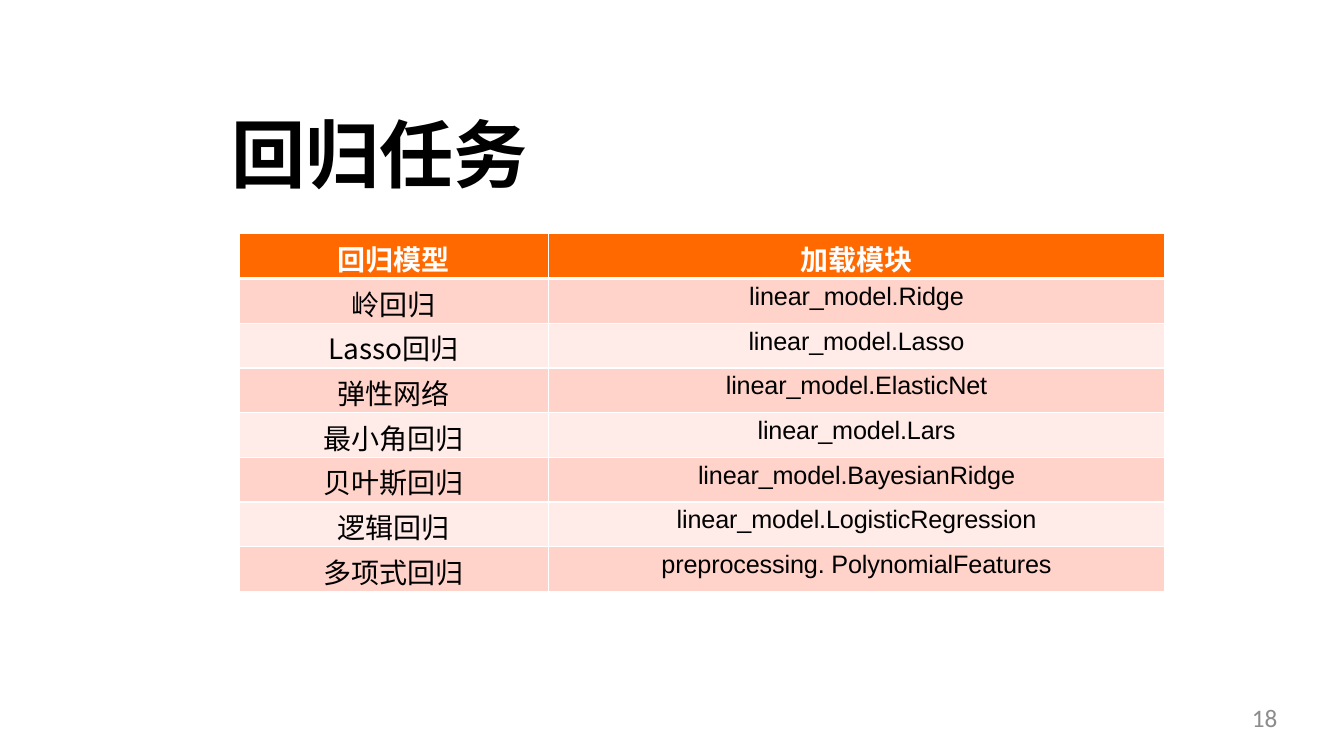
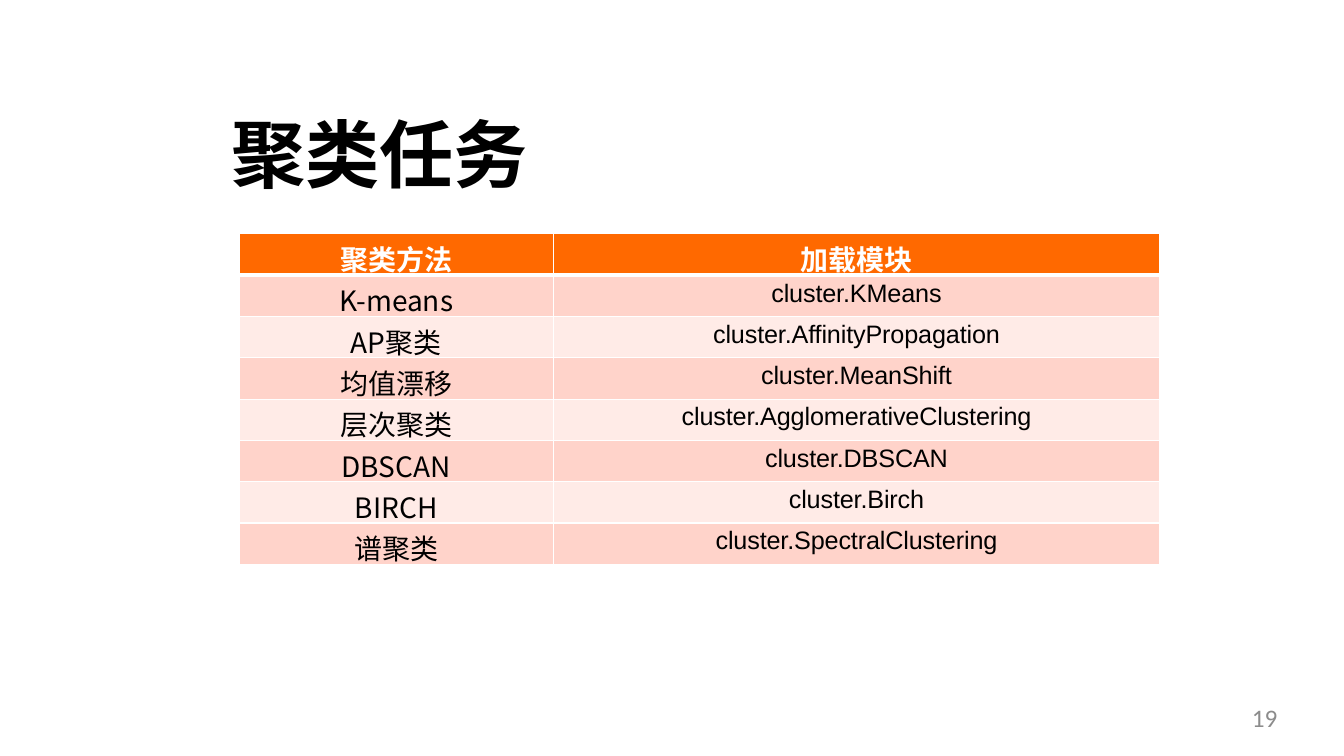
from lxml import etree
from pptx import Presentation
from pptx import util as u
from pptx.dml.color import RGBColor
from pptx.enum import text
from pptx.oxml import ns

COLORS = {
    "white": "FFFFFF",
    "black": "000000",
    "gray": "8C8C8C",
    "orange": "FF6900",
    "band_dark": "FFD3CA",
    "band_light": "FFEBE7",
}
CJK_FONT = "Noto Sans CJK SC"

REGRESSION = [
    ("回归模型", "加载模块"),
    ("岭回归", "linear_model.Ridge"),
    ("Lasso回归", "linear_model.Lasso"),
    ("弹性网络", "linear_model.ElasticNet"),
    ("最小角回归", "linear_model.Lars"),
    ("贝叶斯回归", "linear_model.BayesianRidge"),
    ("逻辑回归", "linear_model.LogisticRegression"),
    ("多项式回归", "preprocessing. PolynomialFeatures"),
]
CLUSTERING = [
    ("聚类方法", "加载模块"),
    ("K-means", "cluster.KMeans"),
    ("AP聚类", "cluster.AffinityPropagation"),
    ("均值漂移", "cluster.MeanShift"),
    ("层次聚类", "cluster.AgglomerativeClustering"),
    ("DBSCAN", "cluster.DBSCAN"),
    ("BIRCH", "cluster.Birch"),
    ("谱聚类", "cluster.SpectralClustering"),
]


class Deck:
    """Hold the shared style and the current slide."""

    def __init__(self):
        self.presentation = Presentation()
        self.presentation.slide_width = u.Inches(13.33)
        self.presentation.slide_height = u.Inches(7.5)
        self.slide = None

    def add_slide(self):
        self.slide = self.presentation.slides.add_slide(self.presentation.slide_layouts[6])

    def set_text(self, paragraph, words, size, font, color, align, bold=False, spacing=0.0):
        paragraph.text = words
        paragraph.alignment = align
        paragraph.font.size = u.Pt(size)
        paragraph.font.name = font
        paragraph.font.bold = bold
        paragraph.font.color.rgb = RGBColor.from_string(COLORS[color])
        properties = paragraph._p.pPr.find(ns.qn("a:defRPr"))
        properties.set("spc", str(round(spacing * 100)))
        etree.SubElement(properties, ns.qn("a:ea"), typeface=font)

    def text_box(self, left, top, width, height, inset_top=0.0):
        box = self.slide.shapes.add_textbox(*map(u.Inches, (left, top, width, height)))
        frame = box.text_frame
        frame.word_wrap = True
        frame.auto_size = text.MSO_AUTO_SIZE.SHAPE_TO_FIT_TEXT
        frame.margin_left = frame.margin_right = frame.margin_bottom = 0
        frame.margin_top = u.Inches(inset_top)
        return frame.paragraphs[0]

    def title(self, words):
        paragraph = self.text_box(2.3, 1.05, 5.5, 0.91, inset_top=0.02)
        self.set_text(paragraph, words, 53, "Arial", "black", text.PP_ALIGN.LEFT,
                      bold=True, spacing=-0.3)

    def page_number(self, number):
        paragraph = self.text_box(9.6, 6.97, 3.07, 0.38)
        self.set_text(paragraph, str(number), 18, "Calibri", "gray", text.PP_ALIGN.RIGHT)

    def borders(self, cell, top, bottom):
        properties = cell._tc.get_or_add_tcPr()
        widths = {"lnL": 1, "lnR": 1, "lnT": top, "lnB": bottom}
        for position, (side, width) in enumerate(widths.items()):
            line = etree.Element(ns.qn(f"a:{side}"), w=str(u.Pt(width)))
            fill = etree.SubElement(line, ns.qn("a:solidFill"))
            etree.SubElement(fill, ns.qn("a:srgbClr"), val=COLORS["white"])
            properties.insert(position, line)

    def cell(self, cell, words, row, column):
        cell.margin_left = cell.margin_right = cell.margin_bottom = 0
        cell.margin_top = u.Inches(0.04)
        header = row == 0
        band = "orange" if header else "band_dark" if row % 2 else "band_light"
        cell.fill.solid()
        cell.fill.fore_color.rgb = RGBColor.from_string(COLORS[band])
        self.borders(cell, top=3 if row == 1 else 1, bottom=3 if header else 1)
        is_module = column == 1 and not header
        size, font, spacing = (18, "Arial", -0.1) if is_module else (20, CJK_FONT, 0)
        self.set_text(cell.text_frame.paragraphs[0], words, size, font,
                      "white" if header else "black", text.PP_ALIGN.CENTER,
                      bold=header, spacing=spacing)

    def table(self, rows, widths):
        row_height = u.Inches(0.41)
        table = self.slide.shapes.add_table(
            len(rows), len(widths), u.Inches(2.37), u.Inches(2.32),
            u.Inches(sum(widths)), row_height * len(rows)).table
        table.horz_banding = False
        for column, width in zip(table.columns, widths):
            column.width = u.Inches(width)
        for row_index, row in enumerate(rows):
            table.rows[row_index].height = row_height
            for column_index, words in enumerate(row):
                self.cell(table.cell(row_index, column_index), words, row_index, column_index)


def main():
    deck = Deck()
    pages = [
        ("回归任务", REGRESSION, (3.07, 6.11)),
        ("聚类任务", CLUSTERING, (3.12, 6.01)),
    ]
    for number, (title, rows, widths) in enumerate(pages, start=18):
        deck.add_slide()
        deck.table(rows, widths)
        deck.title(title)
        deck.page_number(number)
    deck.presentation.save("out.pptx")


if __name__ == "__main__":
    main()
